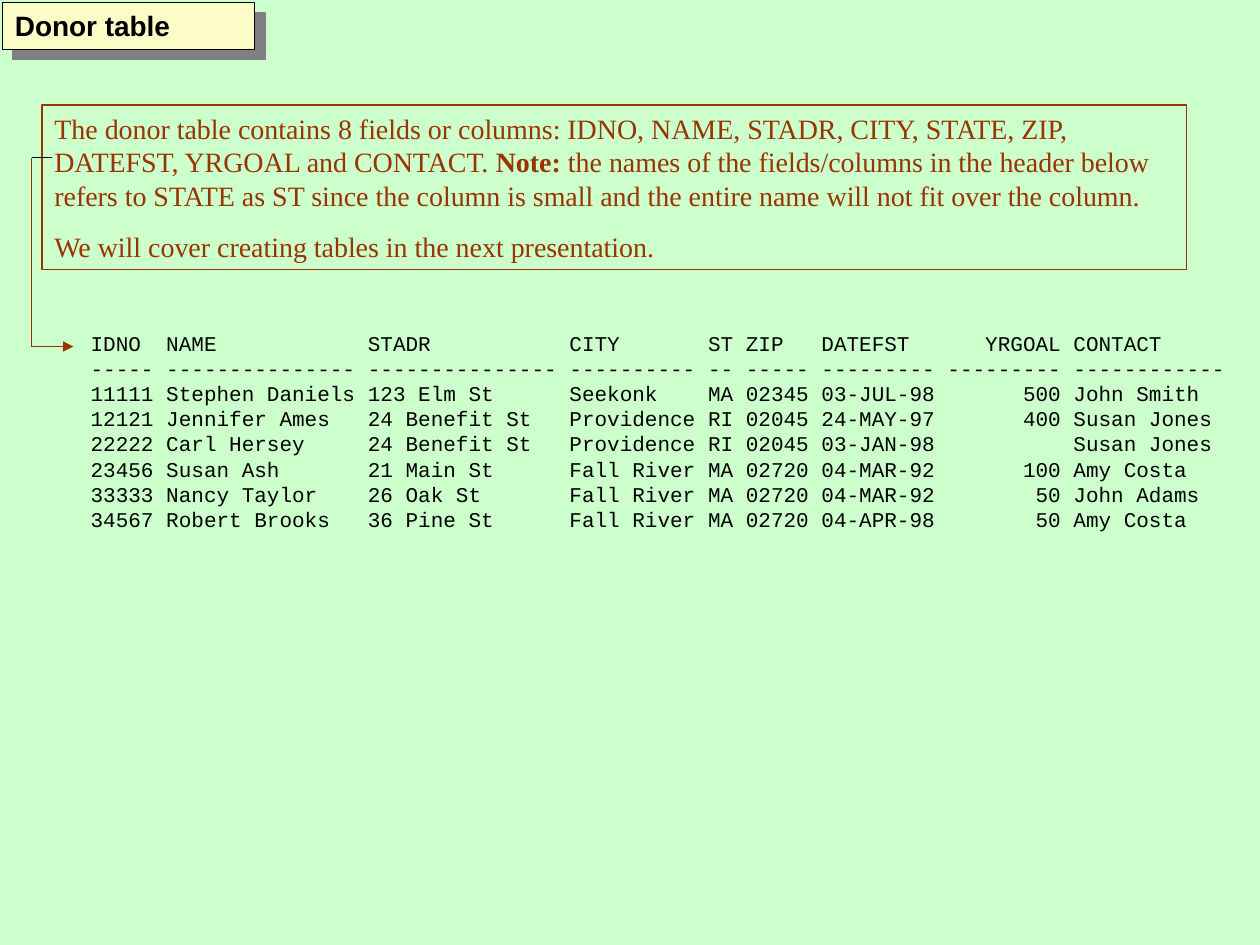
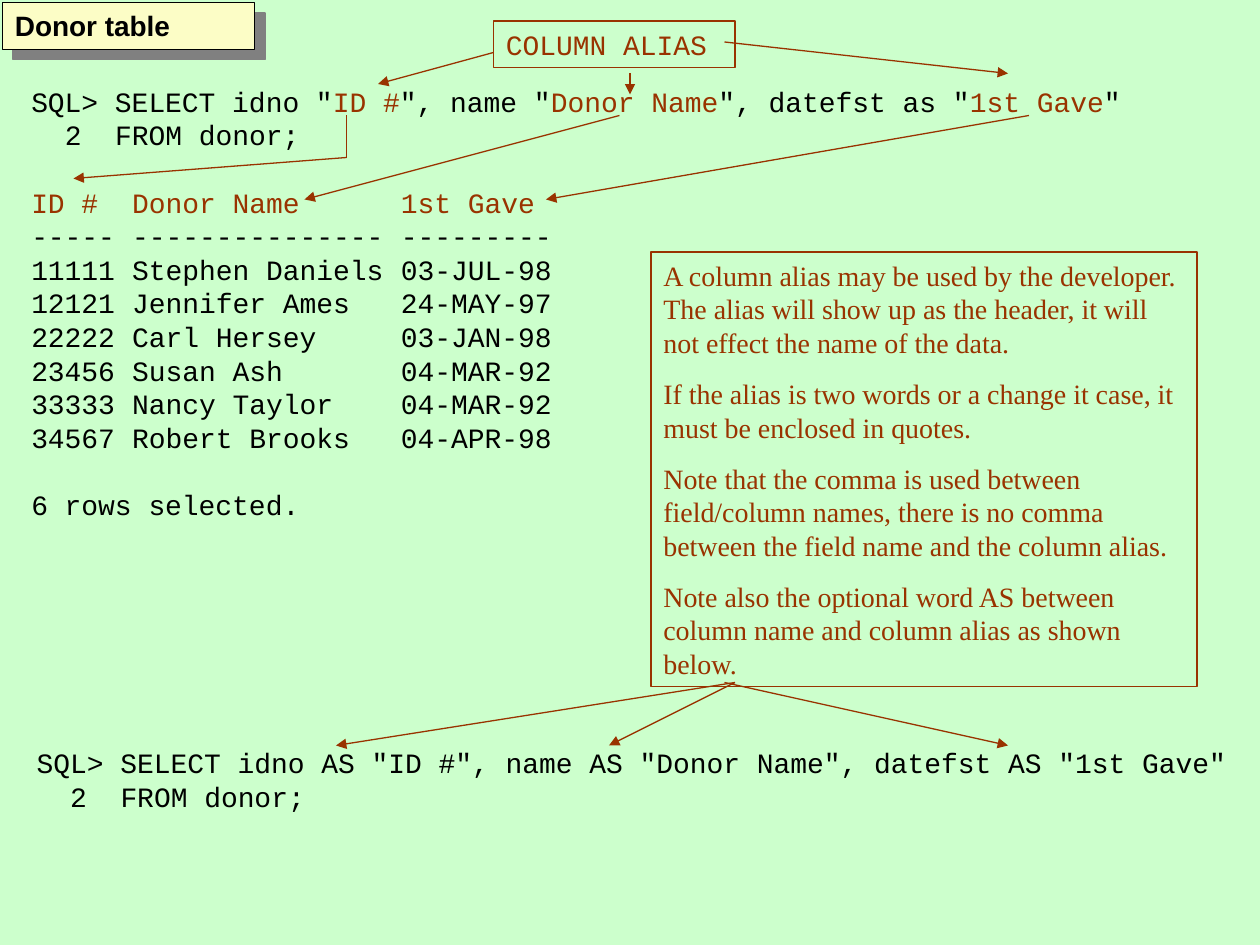
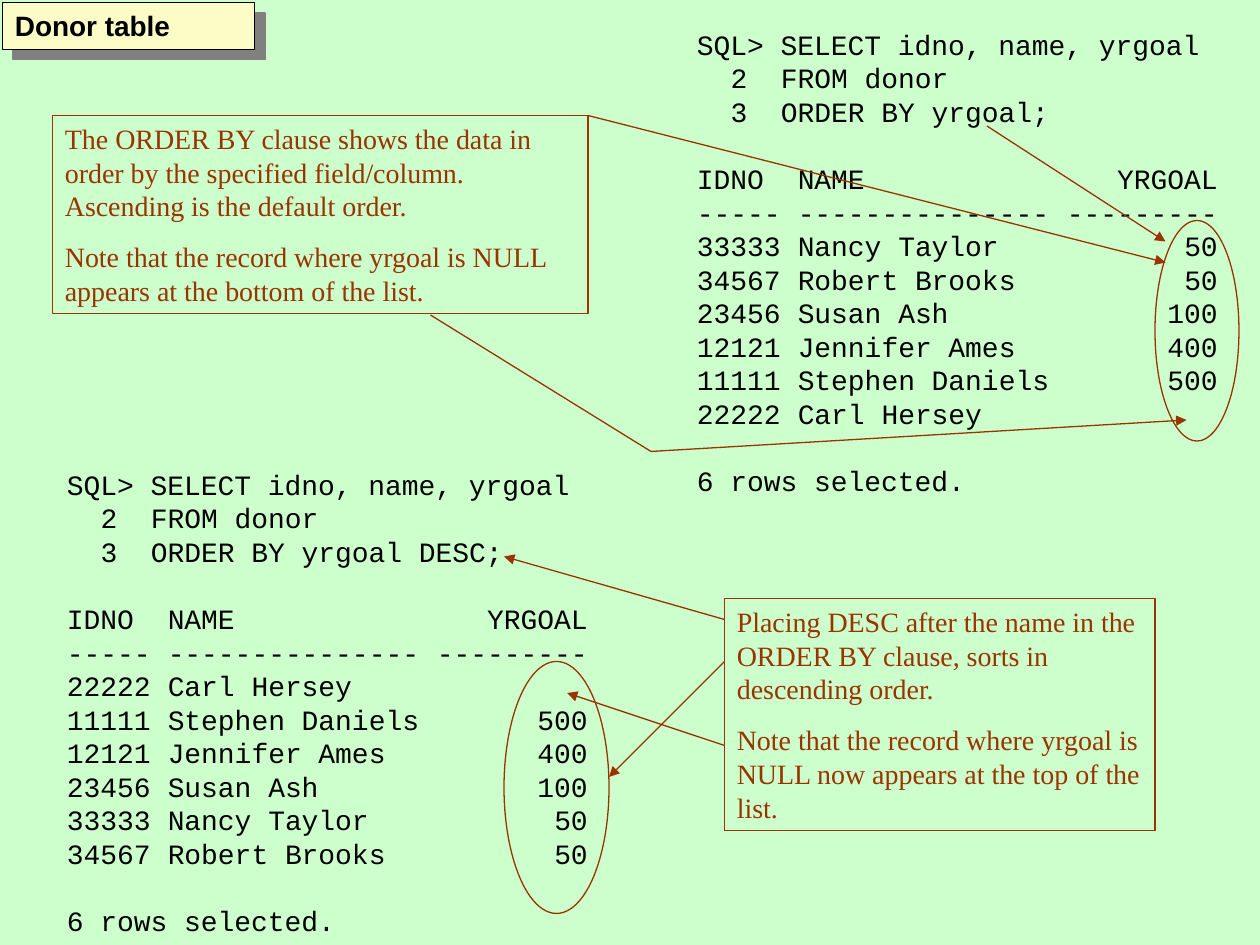
from lxml.etree import SubElement
from pptx import Presentation
from pptx.dml.color import RGBColor
from pptx.enum.shapes import MSO_CONNECTOR, MSO_SHAPE
from pptx.enum.text import MSO_ANCHOR, PP_ALIGN
from pptx.oxml.ns import qn
from pptx.util import Inches, Pt

PAPER, INK, ACCENT = "CCFFCC", "000000", "993300"
LABEL_FILL, SHADOW = "FCFDC6", "808080"
SANS, SERIF, MONO = "Arial", "Times New Roman", "Courier New"
SIZE = 16
LEADING = 1.2       # line height per point of text size
CHAR = 0.6          # width of a monospaced letter per point of text size
LABEL_HEIGHT = 4.45  # rows

# Column widths in letters, and the side each column aligns to
FIELDS = {"IDNO": (5, "l"), "NAME": (15, "l"), "STADR": (15, "l"),
          "CITY": (10, "l"), "ST": (2, "l"), "ZIP": (5, "l"),
          "DATEFST": (9, "l"), "YRGOAL": (9, "r"), "CONTACT": (12, "l")}
DONORS = [dict(zip(FIELDS, row)) for row in (
    ("11111", "Stephen Daniels", "123 Elm St", "Seekonk", "MA", "02345", "03-JUL-98", 500, "John Smith"),
    ("12121", "Jennifer Ames", "24 Benefit St", "Providence", "RI", "02045", "24-MAY-97", 400, "Susan Jones"),
    ("22222", "Carl Hersey", "24 Benefit St", "Providence", "RI", "02045", "03-JAN-98", None, "Susan Jones"),
    ("23456", "Susan Ash", "21 Main St", "Fall River", "MA", "02720", "04-MAR-92", 100, "Amy Costa"),
    ("33333", "Nancy Taylor", "26 Oak St", "Fall River", "MA", "02720", "04-MAR-92", 50, "John Adams"),
    ("34567", "Robert Brooks", "36 Pine St", "Fall River", "MA", "02720", "04-APR-98", 50, "Amy Costa"))]


def rgb(value):
    return RGBColor.from_string(value)


def grid(*units):
    """Turn grid units into lengths: the slide has 120 columns and 90 rows."""
    return [Inches(u / 12) for u in units]


def sql(*lines):
    """Statement lines, numbered from the second on."""
    tabs = [(3, "r"), (5, "l")]
    return [(f"\t{n}\t{line}" if n > 1 else f"SQL> {line}", tabs, False)
            for n, line in enumerate(lines, 1)]


def result(names, donors, heading=None, gap=True):
    """Heading, rule and one line per donor, set on tab stops."""
    tabs, start = [], 0
    for name in names:
        width, side = FIELDS[name]
        tabs.append((start + (width if side == "r" else 0), side))
        start += width + 1
    rows = [heading or names, ["-" * FIELDS[name][0] for name in names]]
    rows += [[str(d[name] or "") for name in names] for d in donors]
    return [("\t".join(row).rstrip("\t"), tabs[1:], gap and i == 0)
            for i, row in enumerate(rows)]


ROW_COUNT = [(f"{len(DONORS)} rows selected.", [], True)]


class Deck:
    def __init__(self):
        self.prs = Presentation()
        self.prs.slide_width, self.prs.slide_height = grid(120, 90)

    def slide(self):
        self.s = self.prs.slides.add_slide(self.prs.slide_layouts[6])
        fill = self.s.background.fill
        fill.solid()
        fill.fore_color.rgb = rgb(PAPER)
        sp = self.outline(MSO_SHAPE.RECTANGLE, 0.25, 0.25, 24, LABEL_HEIGHT, INK)
        sp.fill.solid()
        sp.fill.fore_color.rgb = rgb(LABEL_FILL)
        shadow = SubElement(sp._element.spPr.find(qn("a:effectLst")), qn("a:outerShdw"),
                            blurRad="0", dist=str(Pt(8.5)), dir="2700000", algn="ctr")
        SubElement(shadow, qn("a:srgbClr"), val=SHADOW)
        self.paragraph(self.frame(sp), "Donor table", SANS, INK, bold=True)

    def outline(self, kind, x, y, w, h, color=ACCENT):
        sp = self.s.shapes.add_shape(kind, *grid(x, y, w, h))
        sp.shadow.inherit = False
        sp.fill.background()
        sp.line.color.rgb = rgb(color)
        sp.line.width = Pt(0.75)
        return sp

    def frame(self, sp):
        tf = sp.text_frame
        tf.word_wrap = True
        tf.vertical_anchor = MSO_ANCHOR.TOP
        return tf

    def paragraph(self, tf, text, font, color, size=SIZE, bold=False,
                  before=0, tabs=(), mark=None):
        """Add a paragraph; pieces between bars get the mark."""
        first = tf.paragraphs[0]
        p = tf.add_paragraph() if first.runs else first
        if tabs:
            tab_list = SubElement(p._p.get_or_add_pPr(), qn("a:tabLst"))
            for letters, side in tabs:
                SubElement(tab_list, qn("a:tab"), algn=side,
                           pos=str(Pt(letters * CHAR * size)))
        p.alignment = PP_ALIGN.LEFT
        p.line_spacing = Pt(LEADING * size)
        p.space_before = Pt(before)
        p.font.name, p.font.size, p.font.bold = font, Pt(size), bold
        p.font.color.rgb = rgb(color)
        for i, piece in enumerate(text.split("|")):
            if piece:
                r = p.add_run()
                r.text = piece
                if i % 2:
                    mark(r.font)

    def note(self, x, y, w, h, *texts, font=SERIF):
        tf = self.frame(self.outline(MSO_SHAPE.RECTANGLE, x, y, w, h))
        for i, text in enumerate(texts):
            self.paragraph(tf, text, font, ACCENT, before=10 if i else 0,
                           mark=lambda f: setattr(f, "bold", True))

    def listing(self, x, y, w, lines, size=SIZE):
        leading = LEADING * size
        rows = len(lines) + sum(gap for _, _, gap in lines)
        box = self.s.shapes.add_textbox(*grid(x, y, w, rows * leading / 6 + 1.2))
        tf = self.frame(box)
        for text, tabs, gap in lines:
            self.paragraph(tf, text, MONO, INK, size, before=leading if gap else 0, tabs=tabs,
                           mark=lambda f: setattr(f.color, "rgb", rgb(ACCENT)))

    def ellipse(self, x, y, w, h):
        self.outline(MSO_SHAPE.OVAL, x, y, w, h)

    def line(self, *points, color=ACCENT, arrow=True):
        """Straight segments through the points, with a head at the last."""
        for start, end in zip(points, points[1:]):
            c = self.s.shapes.add_connector(MSO_CONNECTOR.STRAIGHT, *grid(*start, *end))
            c.line.color.rgb = rgb(color)
            c.line.width = Pt(0.75)
            if arrow and end == points[-1]:
                SubElement(c.line._get_or_add_ln(), qn("a:tailEnd"), type="triangle")
            SubElement(c._element.spPr, qn("a:effectLst"))


def table_slide(deck):
    deck.slide()
    deck.listing(7.45, 30.85, 112, result(list(FIELDS), DONORS, gap=False), size=12)
    deck.note(4, 10, 109, 15.7,
              "The donor table contains 8 fields or columns: IDNO, NAME, STADR, CITY, STATE, ZIP, "
              "DATEFST, YRGOAL and CONTACT. |Note:| the names of the fields/columns in the header "
              "below refers to STATE as ST since the column is small and the entire name will not "
              "fit over the column.",
              "We will cover creating tables in the next presentation.")
    deck.line((3, 15), (3, 33), (7, 33))
    deck.line((3, 15), (5, 15), color=INK, arrow=False)


def alias_slide(deck):
    deck.slide()
    deck.note(62, 24, 52, 41.4,
              "A column alias may be used by the developer. The alias will show up as the header, "
              "it will not effect the name of the data.",
              "If the alias is two words or a change it case, it must be enclosed in quotes.",
              "Note that the comma is used between field/column names, there is no comma between "
              "the field name and the column alias.",
              "Note also the optional word AS between column name and column alias as shown below.")
    deck.listing(1.8, 7.45, 107,
                 sql('SELECT idno "|ID #|", name "|Donor Name|", datefst as "|1st Gave|"',
                     "FROM donor;")
                 + result(["IDNO", "NAME", "DATEFST"], DONORS,
                          heading=["|ID #", "Donor Name", "1st Gave"])
                 + ROW_COUNT)
    deck.listing(2.3, 70.45, 117,
                 sql('SELECT idno AS "ID #", name AS "Donor Name", datefst AS "1st Gave"',
                     "FROM donor;"))
    # Note to each AS
    for x, target in ((70, 32), (70, 58), (69, 96)):
        deck.line((x, 65), (target, 71))
    # Alias to its heading
    deck.line((33, 11), (33, 15), (7, 17))
    deck.line((59, 11), (29, 19))
    deck.line((98, 11), (52, 19))
    # Label to each alias
    deck.note(47, 2, 23, LABEL_HEIGHT, "COLUMN ALIAS", font=MONO)
    deck.line((47, 5), (36, 8))
    deck.line((60, 7), (60, 9))
    deck.line((69, 4), (96, 7))


def order_slide(deck):
    def query(x, y, order, donors):
        deck.listing(x, y, 53, sql("SELECT idno, name, yrgoal", "FROM donor", order)
                     + result(["IDNO", "NAME", "YRGOAL"], donors) + ROW_COUNT)

    def goal(donor):
        return donor["YRGOAL"] or float("inf")

    deck.slide()
    # Ascending, NULL last
    query(65.2, 2, "ORDER BY yrgoal;", sorted(DONORS, key=goal))
    deck.note(5, 11, 51, 18.85,
              "The ORDER BY clause shows the data in order by the specified field/column. "
              "Ascending is the default order.",
              "Note that the record where yrgoal is NULL appears at the bottom of the list.")
    deck.ellipse(110, 21, 8, 21)
    deck.line((41, 30), (62, 43), (113, 40))
    deck.line((56, 11), (111, 25))
    deck.line((94, 12), (111, 23))
    # Descending, NULL first
    query(5.2, 43.9, "ORDER BY yrgoal DESC;", sorted(DONORS, key=goal, reverse=True))
    deck.note(69, 57, 41, 22.1,
              "Placing DESC after the name in the ORDER BY clause, sorts in descending order.",
              "Note that the record where yrgoal is NULL now appears at the top of the list.")
    deck.ellipse(48, 63, 10, 24)
    deck.line((69, 59), (48, 53))
    deck.line((69, 71), (54, 66))
    deck.line((69, 63), (58, 74))


def main():
    deck = Deck()
    table_slide(deck)
    alias_slide(deck)
    order_slide(deck)
    deck.prs.save("out.pptx")


if __name__ == "__main__":
    main()
